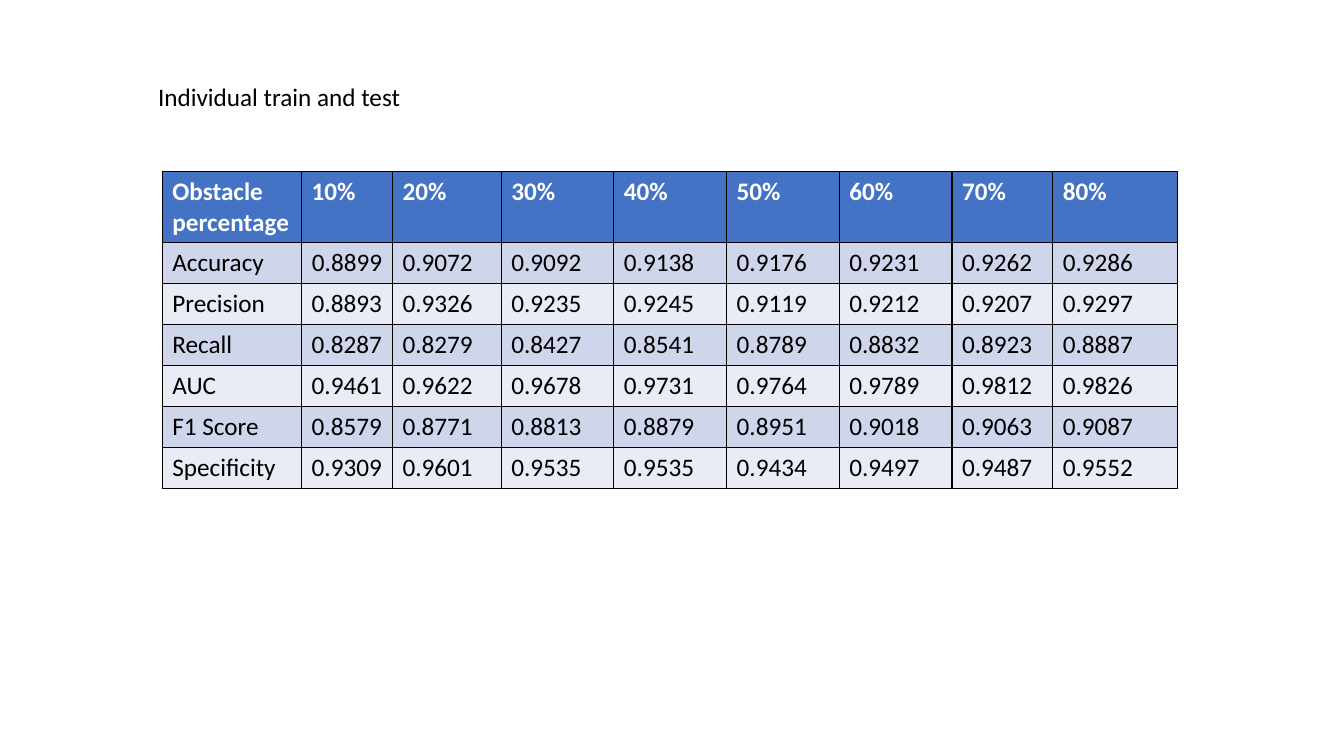
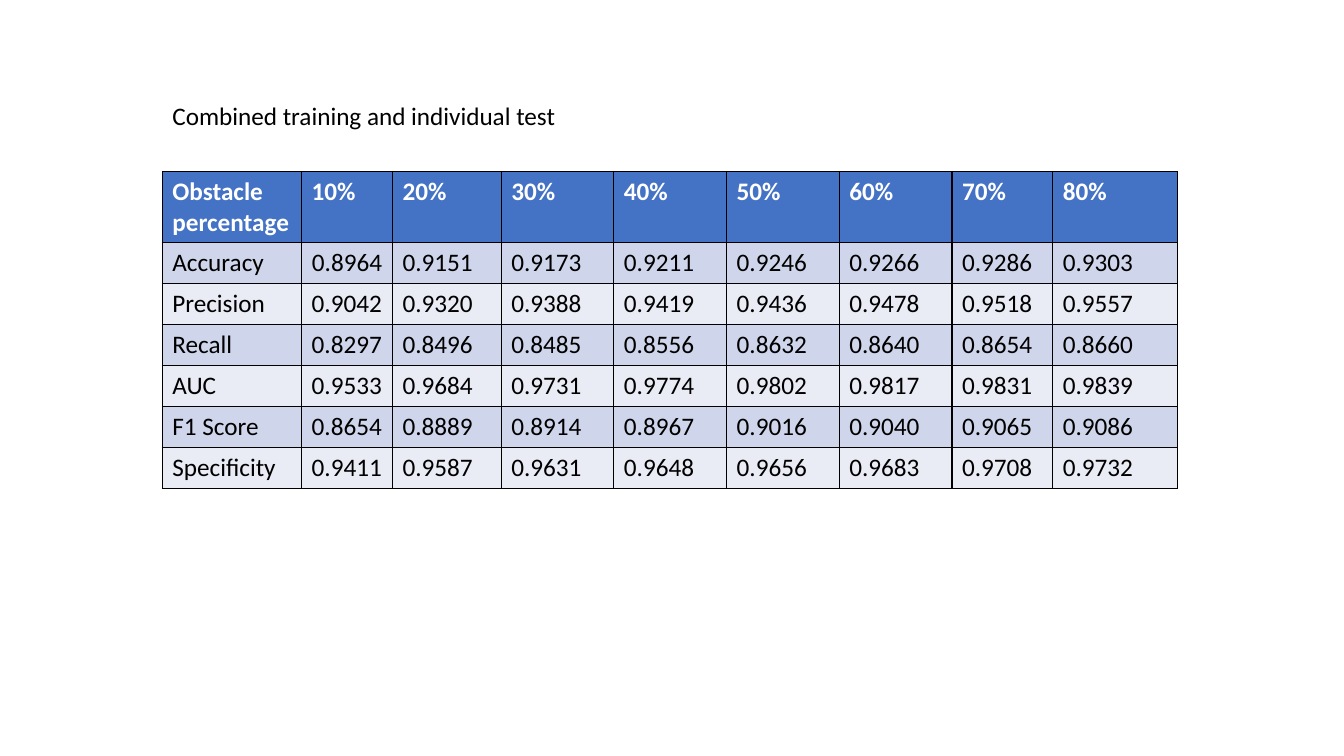
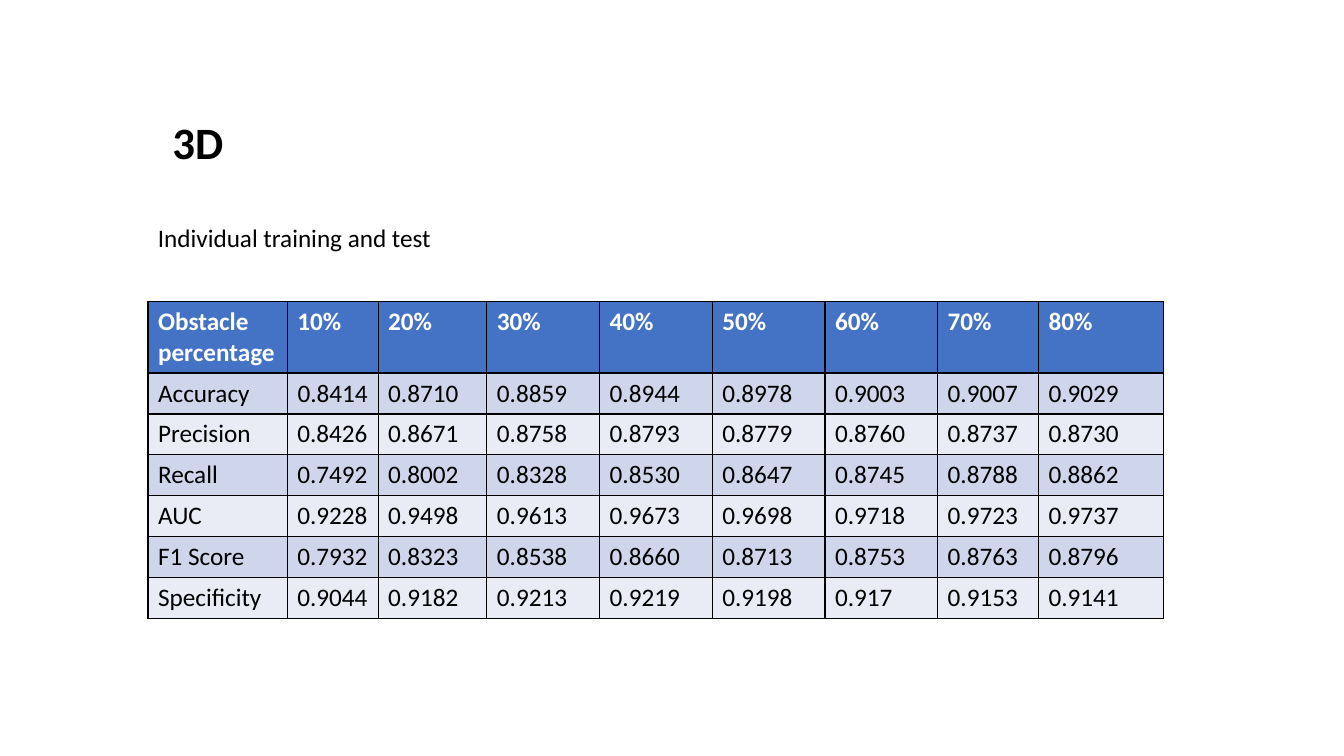
from pptx import Presentation
from pptx.dml.color import RGBColor
from pptx.enum.text import MSO_ANCHOR, MSO_AUTO_SIZE, PP_ALIGN
from pptx.oxml import parse_xml
from pptx.oxml.ns import nsdecls
from pptx.util import Cm, Pt

FONT = "Calibri"
BODY_SIZE = 18
BLACK = RGBColor(0x00, 0x00, 0x00)
WHITE = RGBColor(0xFF, 0xFF, 0xFF)
HEADER_BLUE = RGBColor(0x44, 0x72, 0xC4)
DARK_BAND = RGBColor(0xCF, 0xD5, 0xEA)
LIGHT_BAND = RGBColor(0xE9, 0xEB, 0xF5)

COLUMN_WIDTHS = [3.51, 2.29, 2.74, 2.84, 2.84, 2.84, 2.84, 2.54, 3.15]
HEADER_HEIGHT = 1.8
ROW_HEIGHT = 1.03
HEADER = ["Obstacle percentage"] + [f"{percent}%" for percent in range(10, 90, 10)]
METRICS = ["Accuracy", "Precision", "Recall", "AUC", "F1 Score", "Specificity"]

# Each text: wording, left, top, width, height (cm), size, bold; the first is the title.
# Each score line belongs to one metric and runs from 10% to 80%.
SLIDES = [
    {
        "texts": [("Individual train and test", 3.73, 1.93, 6.68, 1.02, BODY_SIZE, False)],
        "table_at": (4.09, 4.32),
        "scores": [
            "0.8899 0.9072 0.9092 0.9138 0.9176 0.9231 0.9262 0.9286",
            "0.8893 0.9326 0.9235 0.9245 0.9119 0.9212 0.9207 0.9297",
            "0.8287 0.8279 0.8427 0.8541 0.8789 0.8832 0.8923 0.8887",
            "0.9461 0.9622 0.9678 0.9731 0.9764 0.9789 0.9812 0.9826",
            "0.8579 0.8771 0.8813 0.8879 0.8951 0.9018 0.9063 0.9087",
            "0.9309 0.9601 0.9535 0.9535 0.9434 0.9497 0.9487 0.9552",
        ],
    },
    {
        "texts": [("Combined training and individual test", 4.09, 2.4, 10.29, 1.02, BODY_SIZE, False)],
        "table_at": (4.09, 4.32),
        "scores": [
            "0.8964 0.9151 0.9173 0.9211 0.9246 0.9266 0.9286 0.9303",
            "0.9042 0.9320 0.9388 0.9419 0.9436 0.9478 0.9518 0.9557",
            "0.8297 0.8496 0.8485 0.8556 0.8632 0.8640 0.8654 0.8660",
            "0.9533 0.9684 0.9731 0.9774 0.9802 0.9817 0.9831 0.9839",
            "0.8654 0.8889 0.8914 0.8967 0.9016 0.9040 0.9065 0.9086",
            "0.9411 0.9587 0.9631 0.9648 0.9656 0.9683 0.9708 0.9732",
        ],
    },
    {
        "texts": [
            ("3D", 4.09, 2.77, 4.11, 1.63, 32, True),
            ("Individual training and test", 3.73, 5.49, 7.47, 1.02, BODY_SIZE, False),
        ],
        "table_at": (3.73, 7.6),
        "scores": [
            "0.8414 0.8710 0.8859 0.8944 0.8978 0.9003 0.9007 0.9029",
            "0.8426 0.8671 0.8758 0.8793 0.8779 0.8760 0.8737 0.8730",
            "0.7492 0.8002 0.8328 0.8530 0.8647 0.8745 0.8788 0.8862",
            "0.9228 0.9498 0.9613 0.9673 0.9698 0.9718 0.9723 0.9737",
            "0.7932 0.8323 0.8538 0.8660 0.8713 0.8753 0.8763 0.8796",
            "0.9044 0.9182 0.9213 0.9219 0.9198 0.917 0.9153 0.9141",
        ],
    },
]


def style_paragraph(paragraph, size, bold, color):
    paragraph.alignment = PP_ALIGN.LEFT
    paragraph.font.name = FONT
    paragraph.font.size = Pt(size)
    paragraph.font.bold = bold
    paragraph.font.color.rgb = color


def add_black_borders(cell):
    properties = cell._tc.get_or_add_tcPr()
    for side in ("lnL", "lnR", "lnT", "lnB"):
        properties.append(parse_xml(
            f'<a:{side} {nsdecls("a")} w="{Pt(1)}"><a:solidFill>'
            f'<a:srgbClr val="{BLACK}"/></a:solidFill></a:{side}>'))


presentation = Presentation()
presentation.slide_width = Cm(33.87)
presentation.slide_height = Cm(19.05)
title_only = presentation.slide_layouts[5]

for content in SLIDES:
    slide = presentation.slides.add_slide(title_only)

    for index, (wording, left, top, width, height, size, bold) in enumerate(content["texts"]):
        box = slide.shapes.title if index == 0 else slide.shapes.add_textbox(0, 0, 0, 0)
        box.left, box.top, box.width, box.height = Cm(left), Cm(top), Cm(width), Cm(height)
        frame = box.text_frame
        frame.text = wording
        frame.word_wrap = False
        frame.auto_size = MSO_AUTO_SIZE.SHAPE_TO_FIT_TEXT
        frame.vertical_anchor = MSO_ANCHOR.TOP
        style_paragraph(frame.paragraphs[0], size, bold, BLACK)

    rows = [HEADER] + [[metric] + line.split() for metric, line in zip(METRICS, content["scores"])]
    left, top = content["table_at"]
    table = slide.shapes.add_table(
        len(rows), len(HEADER), Cm(left), Cm(top), Cm(sum(COLUMN_WIDTHS)),
        Cm(HEADER_HEIGHT + ROW_HEIGHT * len(METRICS))).table
    for column, width in zip(table.columns, COLUMN_WIDTHS):
        column.width = Cm(width)

    for row_index, values in enumerate(rows):
        is_header = row_index == 0
        table.rows[row_index].height = Cm(HEADER_HEIGHT if is_header else ROW_HEIGHT)
        band = HEADER_BLUE if is_header else DARK_BAND if row_index % 2 else LIGHT_BAND
        for column_index, value in enumerate(values):
            cell = table.cell(row_index, column_index)
            cell.text = value
            style_paragraph(cell.text_frame.paragraphs[0], BODY_SIZE, is_header,
                            WHITE if is_header else BLACK)
            add_black_borders(cell)
            cell.fill.solid()
            cell.fill.fore_color.rgb = band
    table.cell(1, 1).text_frame.paragraphs[0].alignment = PP_ALIGN.CENTER

presentation.save("out.pptx")
